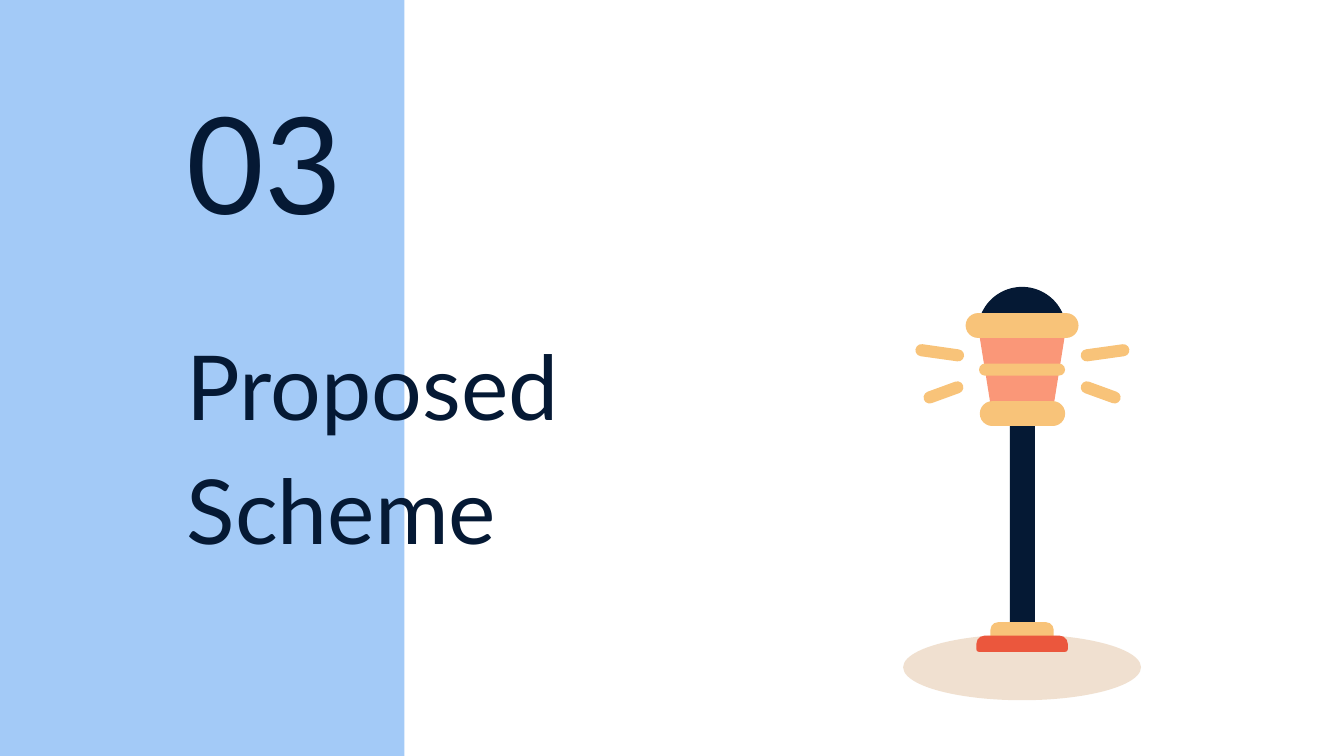
"""Build the section slide "03 Proposed Scheme" with a street lamp."""
from dataclasses import dataclass
from math import cos, pi, sin

from lxml.etree import SubElement
from pptx import Presentation
from pptx.dml.color import RGBColor
from pptx.enum.shapes import MSO_SHAPE as Preset
from pptx.enum.text import MSO_ANCHOR as Anchor, MSO_AUTO_SIZE as AutoSize, PP_ALIGN as Align
from pptx.oxml.ns import qn
from pptx.util import Emu, Pt

PX = 4572
WIDTH, HEIGHT = 2000, 1125


@dataclass(frozen=True)
class Theme:
    font: str = "Lato"
    title_size: int = 48
    number_size: int = 72
    background: str = "FFFFFF"
    navy: str = "051934"
    sky: str = "A3CAF7"
    ground: str = "B45F06"
    amber: str = "F8C379"
    coral: str = "FA9778"
    red: str = "EB573D"


class SlideBuilder:
    def __init__(self, slide, theme):
        self.slide = slide
        self.theme = theme
        fill = slide.background.fill
        fill.solid()
        fill.fore_color.rgb = RGBColor.from_string(theme.background)

    def paint(self, shape, color, alpha=None):
        shape.shadow.inherit = False
        shape.line.fill.background()
        shape.fill.solid()
        shape.fill.fore_color.rgb = RGBColor.from_string(color)
        if alpha is not None:
            color_element = shape.element.spPr.find(qn("a:solidFill"))[0]
            SubElement(color_element, qn("a:alpha"), val=str(alpha * 1000))
        return shape

    def shape(self, preset, box, color, adjustments=(), rotation=0, alpha=None):
        shape = self.slide.shapes.add_shape(preset, *(Emu(value * PX) for value in box))
        for index, value in enumerate(adjustments):
            shape.adjustments[index] = value
        shape.rotation = rotation
        return self.paint(shape, color, alpha)

    def panel(self, box, color):
        panel = self.shape(Preset.RECTANGLE, box, color)
        self.slide.shapes.element.insert(2, panel.element)

    def pill(self, box, color, rotation=0):
        self.shape(Preset.ROUNDED_RECTANGLE, box, color, (0.5,), rotation)

    def dome(self, center_x, base_y, radius, color, steps=48):
        angles = [pi * step / steps for step in range(steps + 1)]
        points = [
            (round((center_x + radius * cos(angle)) * PX), round((base_y - radius * sin(angle)) * PX))
            for angle in angles
        ]
        builder = self.slide.shapes.build_freeform(*points[0])
        builder.add_line_segments(points[1:], close=True)
        self.paint(builder.convert_to_shape(), color)

    def heading(self, placeholder, box, lines, size, anchor, line_spacing):
        placeholder.left, placeholder.top, placeholder.width, placeholder.height = (
            Emu(value * PX) for value in box
        )
        frame = placeholder.text_frame
        frame.word_wrap = True
        frame.auto_size = AutoSize.NONE
        frame.vertical_anchor = anchor
        frame.margin_left = frame.margin_right = Emu(20 * PX)
        frame.margin_top = frame.margin_bottom = Emu(20 * PX)
        for index, line in enumerate(lines):
            paragraph = frame.add_paragraph() if index else frame.paragraphs[0]
            paragraph.alignment = Align.LEFT
            paragraph.line_spacing = line_spacing
            paragraph.space_before = paragraph.space_after = Pt(0)
            run = paragraph.add_run()
            run.text = line
            run.font.name = self.theme.font
            run.font.size = Pt(size)
            run.font.color.rgb = RGBColor.from_string(self.theme.navy)

    def lamp(self, center_x):
        theme = self.theme
        self.shape(Preset.RECTANGLE, (center_x - 18, 616, 37, 322), theme.navy)
        self.shape(Preset.ROUND_2_SAME_RECTANGLE, (center_x - 47, 926, 94, 22), theme.amber, (0.5, 0))
        self.dome(center_x, 493, 66, theme.navy)
        self.shape(Preset.TRAPEZOID, (center_x - 66, 484, 132, 132), theme.coral, (0.16,), 180)
        for top, width, height in ((541, 128, 18), (466, 168, 37), (597, 127, 37)):
            self.pill((center_x - width // 2, top, width, height), theme.amber)
        self.shape(Preset.ROUND_2_SAME_RECTANGLE, (center_x - 68, 946, 136, 24), theme.red, (0.5, 0.16))
        for offset, center_y, length, tilt in ((123, 525, 73, 8), (117, 584, 62, -20)):
            for side in (-1, 1):
                left = center_x + side * offset - length // 2
                self.pill((left, center_y - 9, length, 18), theme.amber, -side * tilt)


def main():
    presentation = Presentation()
    presentation.slide_width, presentation.slide_height = Emu(WIDTH * PX), Emu(HEIGHT * PX)
    slide = presentation.slides.add_slide(presentation.slide_layouts[0])
    theme = Theme()
    builder = SlideBuilder(slide, theme)
    title, number = slide.placeholders

    builder.panel((-4, -4, 606, 1130), theme.sky)
    builder.heading(title, (258, 561, 848, 184), ("Proposed", "Scheme"), theme.title_size, Anchor.MIDDLE, 1.15)
    builder.heading(number, (258, 207, 550, 172), ("03",), theme.number_size, Anchor.BOTTOM, 1.0)
    builder.shape(Preset.OVAL, (1344, 944, 354, 98), theme.ground, alpha=19)
    builder.lamp(1521)
    presentation.save("out.pptx")


if __name__ == "__main__":
    main()
